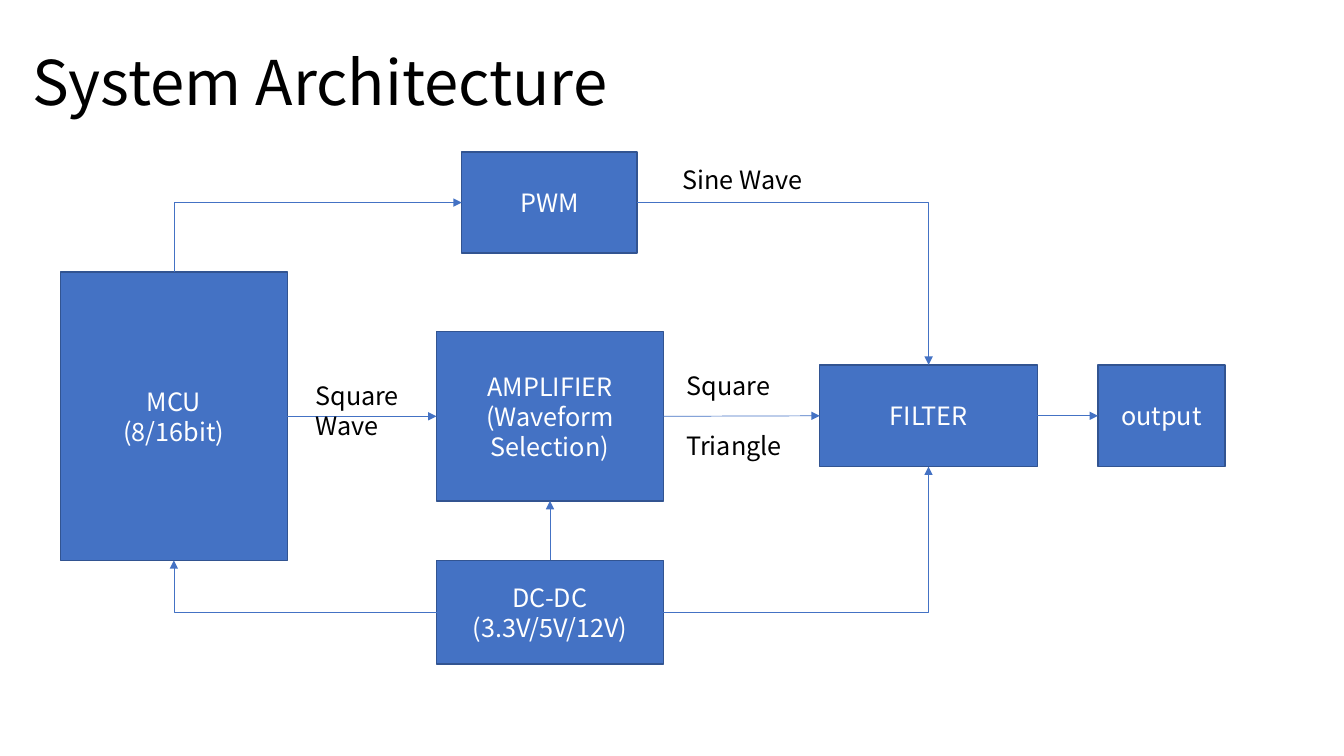
from lxml.etree import SubElement
from pptx import Presentation
from pptx.dml.color import RGBColor
from pptx.enum.shapes import MSO_CONNECTOR as Connector, MSO_SHAPE as Shape
from pptx.enum.text import MSO_ANCHOR as Anchor, PP_ALIGN as Align
from pptx.oxml.ns import qn
from pptx.util import Inches, Pt

COLORS = {"block": "4472C4", "border": "325491", "light": "FFFFFF", "dark": "000000"}
FONT = "Noto Sans CJK KR"
LINE_HEIGHT = Pt(21.6)
TOP, LEFT, BOTTOM, RIGHT = range(4)

BLOCKS = {
    "mcu": ("MCU\n(8/16bit)", 0.6, 2.7, 2.25, 2.86),
    "amplifier": ("AMPLIFIER\n(Waveform Selection)", 4.33, 3.29, 2.25, 1.68),
    "dc": ("DC-DC\n(3.3V/5V/12V)", 4.33, 5.56, 2.25, 1.03),
    "filter": ("FILTER", 8.13, 3.62, 2.16, 1.01),
    "pwm": ("PWM", 4.58, 1.51, 1.74, 1),
    "output": ("output", 10.89, 3.62, 1.26, 1.01),
}
STRAIGHT_ARROWS = [
    ("mcu", RIGHT, "amplifier", LEFT),
    ("amplifier", RIGHT, "filter", LEFT),
    ("dc", TOP, "amplifier", BOTTOM),
    ("filter", RIGHT, "output", LEFT),
]
BENT_ARROWS = [
    ("dc", LEFT, "mcu", BOTTOM, "tailEnd"),
    ("dc", RIGHT, "filter", BOTTOM, "tailEnd"),
    ("pwm", LEFT, "mcu", TOP, "headEnd"),
    ("pwm", RIGHT, "filter", TOP, "tailEnd"),
]
LABELS = [
    ("Sine Wave", 6.67, 1.58, 1.41, 0.4),
    ("Square Wave", 3.03, 3.72, 1.04, 0.71),
    ("Square\nTriangle", 6.71, 3.62, 1.15, 1.01),
]


def color(name):
    """Return the named colour."""
    return RGBColor.from_string(COLORS[name])


def apply(target, values):
    """Set the attributes given in a dict."""
    for name, value in values.items():
        setattr(target, name, value)


def write(shape, text, ink, size=18, frame_format=None, **paragraph_format):
    """Fill a shape with formatted text."""
    frame = shape.text_frame
    frame.text = text
    apply(frame, {"word_wrap": True, **(frame_format or {})})
    for paragraph in frame.paragraphs:
        apply(paragraph, {"line_spacing": LINE_HEIGHT, **paragraph_format})
        for run in paragraph.runs:
            apply(run.font, {"name": FONT, "size": Pt(size)})
            run.font.color.rgb = color(ink)


def add_block(slide, text, *box):
    """Add a filled block with centred text."""
    shape = slide.shapes.add_shape(Shape.RECTANGLE, *map(Inches, box))
    shape.shadow.inherit = False
    shape.fill.solid()
    shape.fill.fore_color.rgb = color("block")
    shape.line.color.rgb = color("border")
    shape.line.width = Pt(1)
    write(shape, text, "light", frame_format={"vertical_anchor": Anchor.MIDDLE},
          alignment=Align.CENTER)
    return shape


def add_label(slide, text, *box, **text_format):
    """Add a text box and return it."""
    label = slide.shapes.add_textbox(*map(Inches, box))
    write(label, text, "dark", **text_format)
    return label


def add_arrow(slide, kind, start, start_site, end, end_site, head="tailEnd"):
    """Join two blocks with an arrow."""
    arrow = slide.shapes.add_connector(kind, 0, 0, 0, 0)
    arrow.begin_connect(start, start_site)
    arrow.end_connect(end, end_site)
    arrow.line.color.rgb = color("block")
    arrow.line.width = Pt(0.5)
    properties = arrow.element.spPr
    if kind == Connector.ELBOW:
        properties.find(qn("a:prstGeom")).set("prst", "bentConnector2")
    SubElement(properties.find(qn("a:ln")), qn(f"a:{head}"), type="triangle")
    SubElement(properties, qn("a:effectLst"))


def main():
    """Build the system architecture slide."""
    presentation = Presentation()
    apply(presentation, {"slide_width": Inches(13.33), "slide_height": Inches(7.5)})
    slide = presentation.slides.add_slide(presentation.slide_layouts[6])
    add_label(slide, "System Architecture", 0.22, 0.12, 11.5, 1.45, size=44,
              frame_format={"vertical_anchor": Anchor.MIDDLE}, line_spacing=0.9)
    blocks = {name: add_block(slide, *block) for name, block in BLOCKS.items()}
    for start, start_site, end, end_site in STRAIGHT_ARROWS:
        add_arrow(slide, Connector.STRAIGHT, blocks[start], start_site, blocks[end], end_site)
    for start, start_site, end, end_site, head in BENT_ARROWS:
        add_arrow(slide, Connector.ELBOW, blocks[start], start_site, blocks[end], end_site, head)
    for label in LABELS:
        shape = add_label(slide, *label)
        for paragraph in shape.text_frame.paragraphs[1:]:
            paragraph.space_before = LINE_HEIGHT
    presentation.save("out.pptx")


if __name__ == "__main__":
    main()
